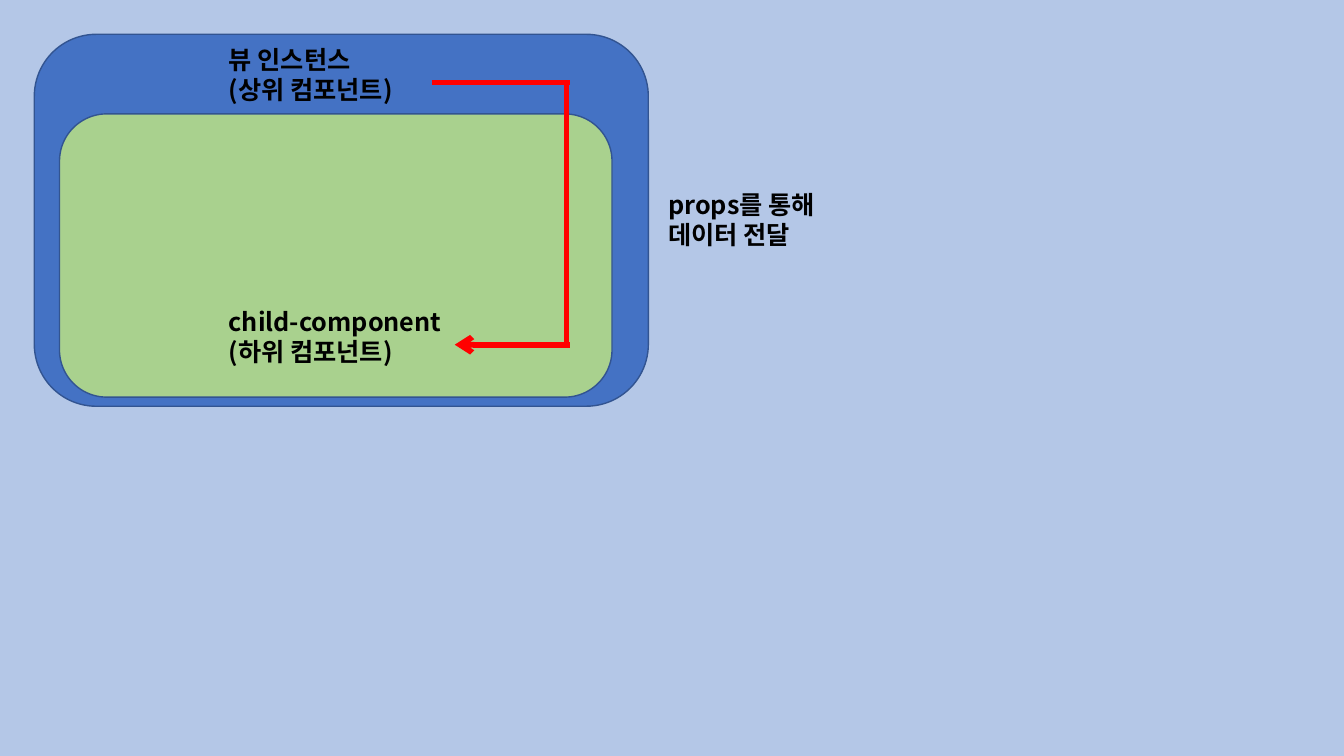
"""Build the slide on passing data from a parent to a child component through props."""
from dataclasses import dataclass

from lxml.etree import SubElement
from pptx import Presentation
from pptx.dml.color import RGBColor
from pptx.enum.shapes import MSO_CONNECTOR as Link, MSO_SHAPE as Preset
from pptx.enum.text import MSO_AUTO_SIZE as AutoSize
from pptx.oxml.ns import qn
from pptx.slide import Slide
from pptx.util import Emu, Pt

PX = 9144
FONT = "Noto Sans CJK KR"
COLORS = {
    "background": "B4C7E7",
    "parent": "4472C4",
    "child": "A9D18E",
    "outline": "325491",
    "flow": "FF0000",
    "text": "000000",
}


@dataclass(frozen=True)
class Component:
    left: int
    top: int
    width: int
    height: int
    color: str


@dataclass(frozen=True)
class Label:
    left: int
    top: int
    width: int
    lines: tuple[str, ...]


@dataclass(frozen=True)
class Segment:
    start: tuple[int, int]
    end: tuple[int, int]
    arrow: bool = False


COMPONENTS = (
    Component(34, 34, 609, 369, "parent"),
    Component(59, 113, 548, 281, "child"),
)
LABELS = (
    Label(217, 39, 211, ("뷰 인스턴스", "(상위 컴포넌트)")),
    Label(217, 299, 337, ("child-component", "(하위 컴포넌트)")),
    Label(653, 183, 211, ("props를 통해", "데이터 전달")),
)
FLOW = (
    Segment((428, 82), (565, 82)),
    Segment((562, 82), (562, 342)),
    Segment((565, 342), (451, 342), arrow=True),
)


def px(length: int) -> Emu:
    """Turn px into EMU."""
    return Emu(length * PX)


def rgb(name: str) -> RGBColor:
    """Look up a named colour."""
    return RGBColor.from_string(COLORS[name])


def draw_component(slide: Slide, component: Component) -> None:
    """Draw a component as a rounded rectangle."""
    body = slide.shapes.add_shape(
        Preset.ROUNDED_RECTANGLE,
        px(component.left), px(component.top), px(component.width), px(component.height),
    )
    body.shadow.inherit = False
    body.fill.solid()
    body.fill.fore_color.rgb = rgb(component.color)
    body.line.color.rgb = rgb("outline")
    body.line.width = Pt(1)


def draw_label(slide: Slide, label: Label, *, size: int = 18, bold: bool = True,
               color: str = "text", height: int = 71) -> None:
    """Write the lines of a label, one paragraph each."""
    box = slide.shapes.add_textbox(px(label.left), px(label.top), px(label.width), px(height))
    frame = box.text_frame
    frame.word_wrap = True
    frame.auto_size = AutoSize.SHAPE_TO_FIT_TEXT
    frame.text = "\n".join(label.lines)
    for paragraph in frame.paragraphs:
        for run in paragraph.runs:
            run.font.size = Pt(size)
            run.font.bold = bold
            run.font.color.rgb = rgb(color)
            run.font.name = FONT
            SubElement(run.font._element, qn("a:ea"), typeface=FONT)


def draw_segment(slide: Slide, segment: Segment) -> None:
    """Draw one straight part of the data flow."""
    link = slide.shapes.add_connector(
        Link.STRAIGHT, *map(px, segment.start), *map(px, segment.end)
    )
    link.line.color.rgb = rgb("flow")
    link.line.width = Pt(4)
    if segment.arrow:
        SubElement(link.line._get_or_add_ln(), qn("a:tailEnd"), type="arrow")
    SubElement(link._element.spPr, qn("a:effectLst"))


def main() -> None:
    """Build and save the slide."""
    deck = Presentation()
    deck.slide_width, deck.slide_height = px(1333), px(750)
    slide = deck.slides.add_slide(deck.slide_layouts[6])
    slide.background.fill.solid()
    slide.background.fill.fore_color.rgb = rgb("background")
    for component in COMPONENTS:
        draw_component(slide, component)
    for label in LABELS:
        draw_label(slide, label)
    for segment in FLOW:
        draw_segment(slide, segment)
    deck.save("out.pptx")


if __name__ == "__main__":
    main()
